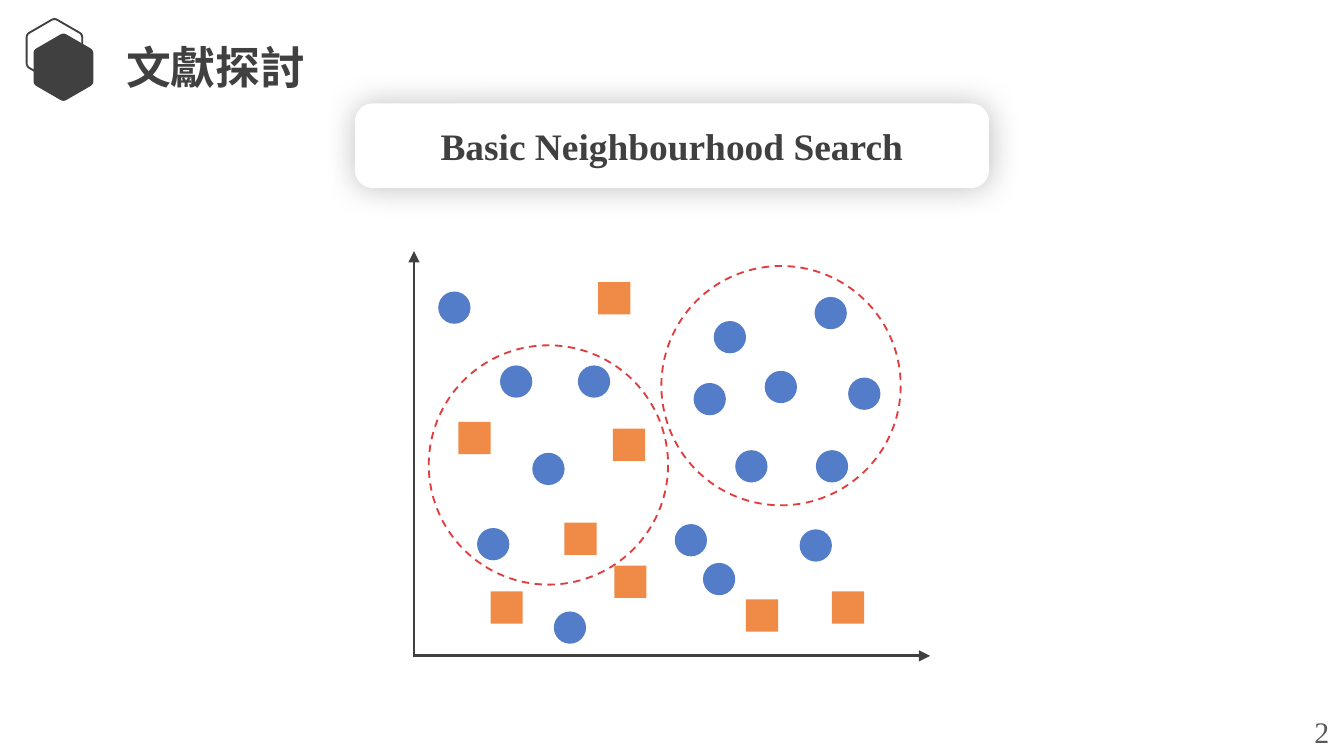
from math import cos, radians, sin, sqrt

from lxml import etree
from pptx import Presentation
from pptx.dml.color import RGBColor
from pptx.enum.dml import MSO_LINE
from pptx.enum.shapes import MSO_CONNECTOR, MSO_SHAPE
from pptx.enum.text import MSO_ANCHOR, PP_ALIGN
from pptx.oxml.ns import qn
from pptx.util import Pt

OVAL, RECT, ROUND = MSO_SHAPE.OVAL, MSO_SHAPE.RECTANGLE, MSO_SHAPE.ROUNDED_RECTANGLE
STRAIGHT, DASH = MSO_CONNECTOR.STRAIGHT, MSO_LINE.DASH
LEFT, CENTER = PP_ALIGN.LEFT, PP_ALIGN.CENTER
TOP, MIDDLE = MSO_ANCHOR.TOP, MSO_ANCHOR.MIDDLE

FONT = "Times New Roman"
COLORS = {"dark": "404040", "gray": "595959", "white": "FFFFFF",
          "blue": "537DC9", "orange": "EF8B47", "red": "E03E3E"}

MARK, RING = 17.3, 128.2
# Left and top of each mark, from the top of the upright axis
DOTS = [(63.4, 108), (187.9, 64.1), (232.6, 67.7), (149.8, 70.6),
        (139.7, 146.2), (160.6, 37.4), (172.1, 106.6), (74.9, 193),
        (215.3, 106.6), (214.6, 24.5), (13, 21.6), (33.8, 148.3),
        (46.1, 61.2), (87.8, 61.2), (206.6, 149), (154.8, 167)]
SQUARES = [(107.3, 168.5), (23.8, 91.4), (41, 182.2), (106.6, 95),
           (223.9, 182.2), (177.8, 186.5), (80.6, 145.4), (98.6, 16.6)]
RINGS = [(132.5, 7.9), (7.9, 50.4)]


def rgb(name):
    return RGBColor.from_string(COLORS[name])


def paint(shape, fill=None, line=None, width=1, dash=None):
    shape.shadow.inherit = False
    if fill:
        shape.fill.solid()
        shape.fill.fore_color.rgb = rgb(fill)
    else:
        shape.fill.background()
    if line:
        shape.line.color.rgb = rgb(line)
        shape.line.width = Pt(width)
        shape.line.dash_style = dash
    else:
        shape.line.fill.background()


def write(shape, text, size, color="dark", bold=False, align=LEFT,
          anchor=TOP, inset=(7.2, 3.6), wrap=True):
    frame = shape.text_frame
    frame.text = text
    frame.word_wrap = wrap
    frame.vertical_anchor = anchor
    frame.margin_left = frame.margin_right = Pt(inset[0])
    frame.margin_top = frame.margin_bottom = Pt(inset[1])
    para = frame.paragraphs[0]
    para.alignment = align
    font = para.runs[0].font
    font.name, font.size, font.bold = FONT, Pt(size), bold
    font.color.rgb = rgb(color)


def place(shape, box):
    shape.left, shape.top, shape.width, shape.height = map(Pt, box)


def hexagon(slide, x, y, width, **style):
    """Draw a hexagon on its point, with rounded corners, centred on x, y."""
    side, cut = width / sqrt(3), 0.1
    tips = [(x + side * cos(radians(a)), y + side * sin(radians(a)))
            for a in range(-90, 270, 60)]
    points = []
    for i, tip in enumerate(tips):
        ends = [[t + cut * (n - t) for t, n in zip(tip, near)]
                for near in (tips[i - 1], tips[(i + 1) % 6])]
        for t in (0, 0.25, 0.5, 0.75, 1):
            points.append([Pt((1 - t) ** 2 * a + 2 * t * (1 - t) * c + t * t * b)
                           for a, c, b in zip(ends[0], tip, ends[1])])
    path = slide.shapes.build_freeform(*points[0])
    path.add_line_segments(points[1:], close=True)
    paint(path.convert_to_shape(), **style)


def header(slide, box):
    left, top, width, height = box
    # Emblem
    hexagon(slide, left + 14.8, top + 16.9, 29.8, line="dark")
    hexagon(slide, left + 19.6, top + 25.9, 32, fill="dark")
    # Title
    title = slide.shapes.title
    place(title, (left + 48.2, top + 8.6, width - 48.2, height - 8.6))
    write(title, "文獻探討", 24, bold=True, inset=(5, 2.5))


def banner(slide, box):
    card = slide.shapes.add_shape(ROUND, *map(Pt, box))
    card.adjustments[0] = 0.214
    paint(card, fill="white")
    write(card, "Basic Neighbourhood Search", 20, bold=True,
          align=CENTER, anchor=MIDDLE)
    # Soft glow on all sides
    glow = etree.SubElement(card._element.spPr.find(qn("a:effectLst")),
                            qn("a:outerShdw"), blurRad=str(Pt(17)), dist="0",
                            algn="ctr", rotWithShape="0")
    tint = etree.SubElement(glow, qn("a:srgbClr"), val="000000")
    etree.SubElement(tint, qn("a:alpha"), val="25000")


def axis(slide, *ends):
    line = slide.shapes.add_connector(STRAIGHT, *map(Pt, ends))
    line.line.color.rgb = rgb("dark")
    line.line.width = Pt(1.5)
    etree.SubElement(line.line._get_or_add_ln(), qn("a:tailEnd"), type="triangle")
    etree.SubElement(line._element.spPr, qn("a:effectLst"))


def scatter(slide, box):
    left, top, width, height = box
    base = top + height
    # Axes
    axis(slide, left, base, left + width, base)
    axis(slide, left, base + 0.75, left, top)
    # Marks and neighbourhoods
    groups = [(DOTS, OVAL, MARK, {"fill": "blue"}),
              (SQUARES, RECT, MARK, {"fill": "orange"}),
              (RINGS, OVAL, RING, {"line": "red", "dash": DASH})]
    for spots, kind, size, style in groups:
        for x, y in spots:
            mark = slide.shapes.add_shape(kind, Pt(left + x), Pt(top + y),
                                          Pt(size), Pt(size))
            paint(mark, **style)


def number(slide, box):
    label = slide.shapes.add_textbox(*map(Pt, box))
    write(label, "2", 16, color="gray", wrap=False)


def main():
    deck = Presentation()
    deck.slide_width, deck.slide_height = Pt(720), Pt(405)
    slide = deck.slides.add_slide(deck.slide_layouts[5])
    header(slide, (14.4, 10.1, 201.6, 43.2))
    scatter(slide, (221.8, 134.6, 276.5, 216.8))
    banner(slide, (190.1, 55.4, 339.8, 45.4))
    number(slide, (697, 378.7, 22.3, 26.6))
    deck.save("out.pptx")


if __name__ == "__main__":
    main()
